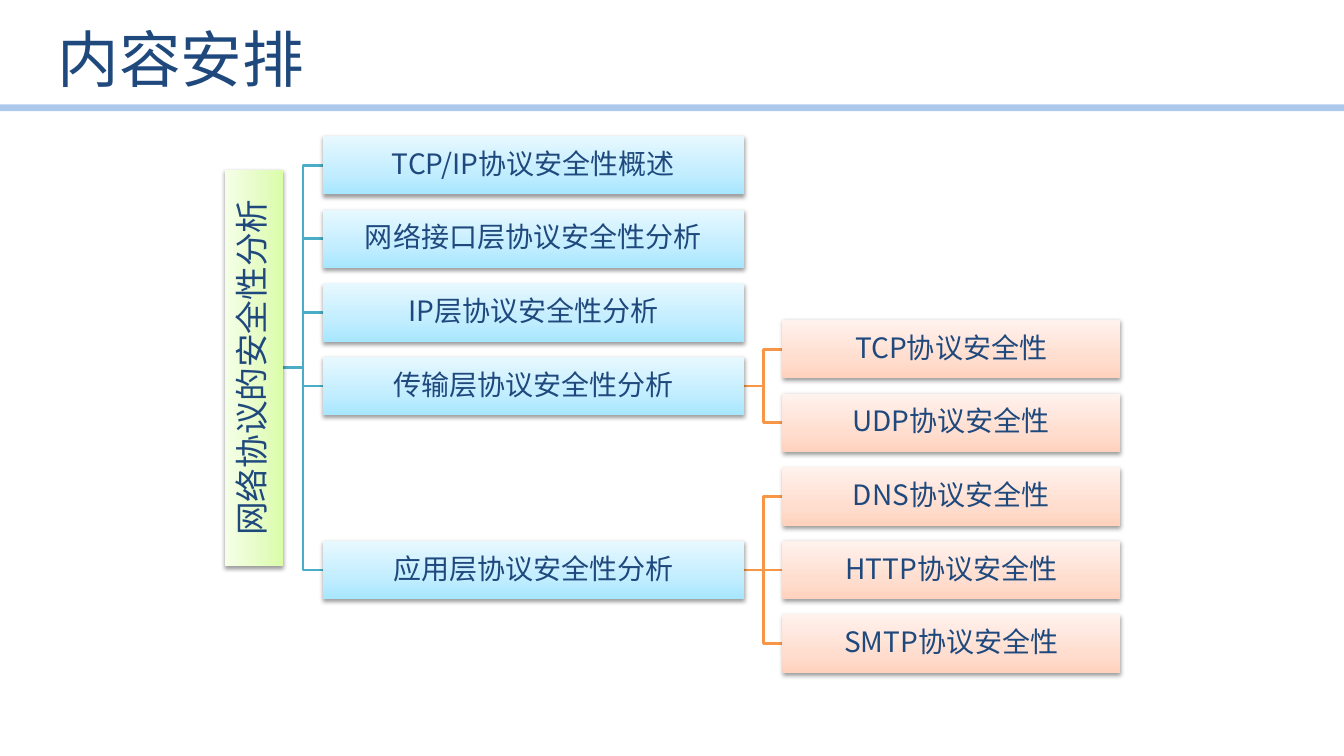
from lxml import etree
from pptx import Presentation
from pptx.dml.color import RGBColor
from pptx.enum.shapes import MSO_CONNECTOR, MSO_SHAPE
from pptx.enum.text import MSO_ANCHOR, PP_ALIGN
from pptx.oxml.ns import qn
from pptx.util import Inches, Pt

STRAIGHT = MSO_CONNECTOR.STRAIGHT
RECT = MSO_SHAPE.RECTANGLE
MIDDLE = MSO_ANCHOR.MIDDLE
LEFT, CENTER = PP_ALIGN.LEFT, PP_ALIGN.CENTER

FONT = "Noto Sans CJK SC"
NAVY = RGBColor(0x1F, 0x49, 0x7D)
RULE = RGBColor(0x8E, 0xB4, 0xE3)
BLACK = RGBColor(0, 0, 0)
TEAL = RGBColor(0x4B, 0xAC, 0xC6)
ORANGE = RGBColor(0xF7, 0x96, 0x46)
GREENS = [RGBColor(0xDA, 0xFD, 0xA7), RGBColor(0xE4, 0xFC, 0xC2), RGBColor(0xF5, 0xFF, 0xE7)]
BLUES = [RGBColor(0xA7, 0xE6, 0xFF), RGBColor(0xC1, 0xED, 0xFF), RGBColor(0xE7, 0xF8, 0xFF)]
PEACHES = [RGBColor(0xFF, 0xD2, 0xBD), RGBColor(0xFF, 0xDE, 0xD0), RGBColor(0xFF, 0xF2, 0xED)]
STOPS = [0, 35, 100]

SLIDE_W, SLIDE_H = 13.33, 7.5
PITCH, BOX_H = 0.73, 0.58
ROOT_LEN = 3.93
BRANCH_X, BRANCH_W = 0.97, 4.18
LEAF_X, LEAF_W = 5.53, 3.35

ROOT = "网络协议的安全性分析"
BRANCHES = [
    ("TCP/IP协议安全性概述", 0, []),
    ("网络接口层协议安全性分析", 1, []),
    ("IP层协议安全性分析", 2, []),
    ("传输层协议安全性分析", 3, [("TCP协议安全性", 2.5), ("UDP协议安全性", 3.5)]),
    ("应用层协议安全性分析", 5.5,
     [("DNS协议安全性", 4.5), ("HTTP协议安全性", 5.5), ("SMTP协议安全性", 6.5)]),
]


def write(tf, text, size=20, align=CENTER, inset=0.01, line=0.9, after=0.35):
    """Put one formatted paragraph into a text frame."""
    tf.word_wrap = True
    tf.vertical_anchor = MIDDLE
    tf.margin_left = tf.margin_right = tf.margin_top = tf.margin_bottom = Inches(inset)
    p = tf.paragraphs[0]
    p.alignment = align
    p.line_spacing = line
    p.space_after = Pt(size * after)
    r = p.add_run()
    r.text = text
    r.font.name, r.font.size, r.font.color.rgb = FONT, Pt(size), NAVY
    r.font.bold = False
    etree.SubElement(r.font._element, qn("a:ea"), typeface=FONT)


def add_color(parent, color, alpha=None):
    """Append a colour element, optionally translucent."""
    clr = etree.SubElement(parent, qn("a:srgbClr"), val=str(color))
    if alpha:
        etree.SubElement(clr, qn("a:alpha"), val=str(alpha * 1000))


def style_line(sp, color, width):
    """Give a line its colour and width and no shadow."""
    sp.line.color.rgb = color
    sp.line.width = Pt(width)
    etree.SubElement(sp._element.spPr, qn("a:effectLst"))


def add_box(slide, x, y, w, h, text, colors, rotation=0, **fmt):
    """Draw a gradient box with a soft shadow and a label."""
    sp = slide.shapes.add_shape(RECT, Inches(x), Inches(y), Inches(w), Inches(h))
    sp.rotation = rotation
    sp.line.fill.background()
    sp.fill.gradient()
    sp.fill.gradient_angle = 90
    stops = sp._element.spPr.find(".//" + qn("a:gsLst"))
    stops[:] = []
    for pos, color in zip(STOPS, colors):
        add_color(etree.SubElement(stops, qn("a:gs"), pos=str(pos * 1000)), color)
    effects = etree.SubElement(sp._element.spPr, qn("a:effectLst"))
    shadow = etree.SubElement(effects, qn("a:outerShdw"), blurRad=str(Pt(3.1)),
                              dist=str(Pt(1.6)), dir="5400000", rotWithShape="0")
    add_color(shadow, BLACK, alpha=38)
    write(sp.text_frame, text, **fmt)


def add_link(slide, x1, y1, x2, y2, color):
    """Join a parent to a child with a straight or stepped line."""
    x1, y1, x2, y2 = (Inches(v) for v in (x1, y1, x2, y2))
    if y1 == y2:
        sp = slide.shapes.add_connector(STRAIGHT, x1, y1, x2, y2)
    else:
        mid = (x1 + x2) // 2
        fb = slide.shapes.build_freeform(x1, y1)
        fb.add_line_segments([(mid, y1), (mid, y2), (x2, y2)], close=False)
        sp = fb.convert_to_shape()
        sp.fill.background()
    style_line(sp, color, 2)


def add_header(slide, text, x, y, w, h):
    """Place the title and the rule beneath it."""
    title = slide.shapes.title
    title.left, title.top, title.width, title.height = (Inches(v) for v in (x, y, w, h))
    write(title.text_frame, text, size=44, align=LEFT, inset=0.1, line=1.0, after=0)
    rule_y = Inches(y + h + 0.01)
    rule = slide.shapes.add_connector(STRAIGHT, 0, rule_y, Inches(SLIDE_W), rule_y)
    style_line(rule, RULE, 4.75)
    clr = rule._element.spPr.find(".//" + qn("a:srgbClr"))
    etree.SubElement(clr, qn("a:alpha"), val="73000")


def add_tree(slide, x, y):
    """Draw the topic tree from its top left corner."""
    def top(row):
        return round(y + row * PITCH, 3)

    def middle(row):
        return round(top(row) + BOX_H / 2, 3)

    root_row = (BRANCHES[0][1] + BRANCHES[-1][1]) / 2
    branch_x, leaf_x = x + BRANCH_X, x + LEAF_X
    for _, row, leaves in BRANCHES:
        add_link(slide, x + BOX_H, middle(root_row), branch_x, middle(row), TEAL)
        for _, leaf_row in leaves:
            add_link(slide, branch_x + BRANCH_W, middle(row), leaf_x, middle(leaf_row), ORANGE)
    add_box(slide, x + (BOX_H - ROOT_LEN) / 2, top(root_row), ROOT_LEN, BOX_H, ROOT, GREENS,
            rotation=270, size=24, inset=0.02)
    for text, row, leaves in BRANCHES:
        add_box(slide, branch_x, top(row), BRANCH_W, BOX_H, text, BLUES)
        for leaf, leaf_row in leaves:
            add_box(slide, leaf_x, top(leaf_row), LEAF_W, BOX_H, leaf, PEACHES)


def main():
    """Build the slide and save it."""
    prs = Presentation()
    prs.slide_width, prs.slide_height = Inches(SLIDE_W), Inches(SLIDE_H)
    slide = prs.slides.add_slide(prs.slide_layouts[5])
    add_header(slide, "内容安排", 0.47, 0.09, 11.02, 0.97)
    add_tree(slide, 2.23, 1.35)
    prs.save("out.pptx")


if __name__ == "__main__":
    main()
